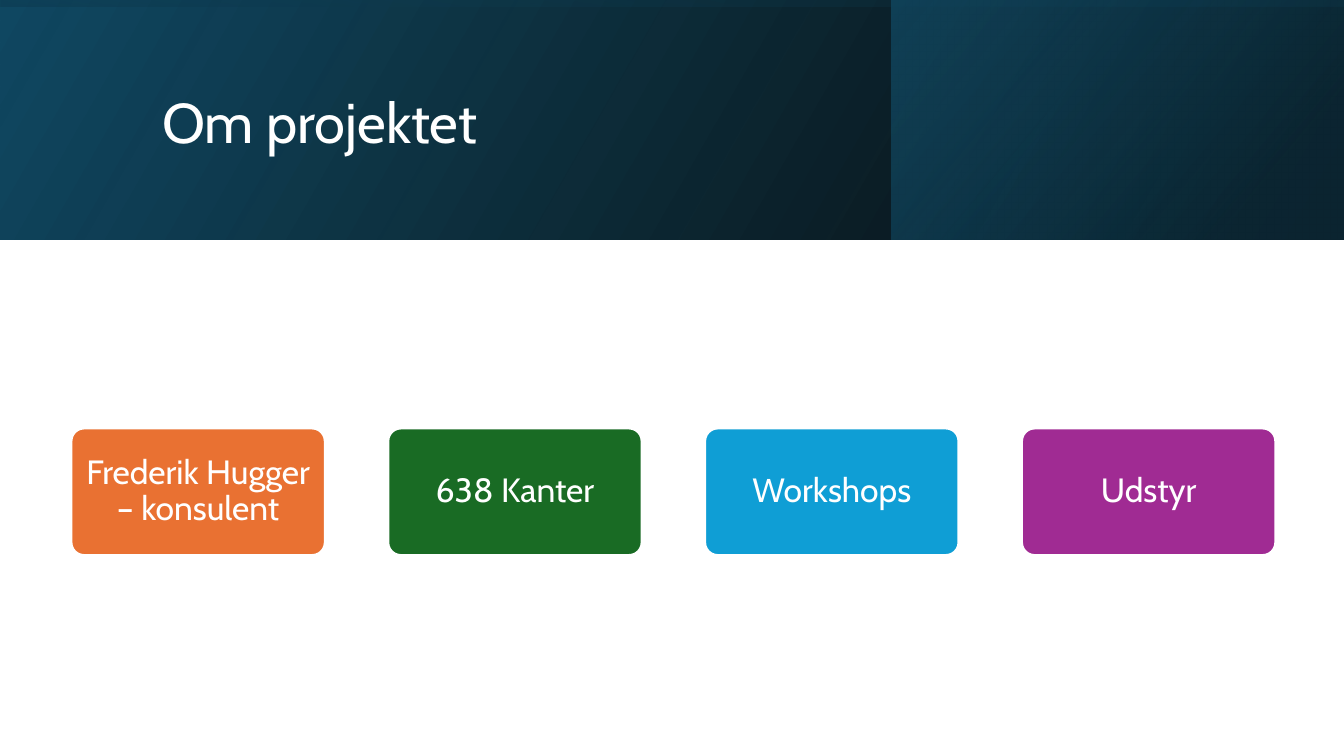
from dataclasses import dataclass

from lxml.etree import SubElement
from pptx import Presentation
from pptx.dml.color import RGBColor
from pptx.enum.shapes import MSO_SHAPE
from pptx.enum.text import MSO_ANCHOR, PP_ALIGN
from pptx.oxml.ns import qn
from pptx.util import Pt


@dataclass(frozen=True)
class Theme:
    font: str = "Cabin"
    title_size: int = 40
    card_size: int = 24
    white: str = "FFFFFF"
    black: str = "000000"
    navy: str = "104862"
    deep: str = "0B3041"
    teal: str = "156082"
    cards: tuple = ("E97132", "196B24", "0F9ED5", "A02B93")


THEME = Theme()
SLIDE_W, SLIDE_H = 960, 540
TOPICS = ("Frederik Hugger – konsulent", "638 Kanter", "Workshops", "Udstyr")


def apply(obj, formats):
    for name, value in formats.items():
        setattr(obj, name, value)


def write_text(tf, text, size, align, frame):
    apply(tf, {"word_wrap": True, "vertical_anchor": MSO_ANCHOR.MIDDLE, **frame})
    p = tf.paragraphs[0]
    apply(p, {"alignment": align, "line_spacing": 0.9})
    r = p.add_run()
    r.text = text
    apply(r.font, {"name": THEME.font, "size": Pt(size)})
    r.font.color.rgb = RGBColor.from_string(THEME.white)


def add_gradient_panel(s, box, stops, angle, rotation=0):
    """Mirrored rectangle; stops are (position %, colour, opacity %)."""
    sp = s.shapes.add_shape(MSO_SHAPE.RECTANGLE, *map(Pt, box))
    sp.shadow.inherit = False
    sp.rotation = rotation
    sp.line.fill.background()
    sp.fill.gradient()
    sp.fill.gradient_angle = 360 - angle
    for stop, (position, colour, opacity) in zip(sp.fill.gradient_stops, stops):
        stop.position = position / 100
        stop.color.rgb = RGBColor.from_string(colour)
    props = sp.element.spPr
    props.find(qn("a:xfrm")).set("flipH", "1")
    for colour, stop in zip(props.iter(qn("a:srgbClr")), stops):
        SubElement(colour, qn("a:alpha"), val=str(stop[2] * 1000))


def add_header(s, box, title):
    x, y, w, h = box
    # Base band, right-hand panel and a shade turned a quarter left
    add_gradient_panel(s, box, [(0, THEME.black, 96), (100, THEME.navy, 100)], 330)
    side = 323
    add_gradient_panel(s, (x + w - side, y, side, h),
                       [(19, THEME.deep, 68), (100, THEME.teal, 48)], 320)
    add_gradient_panel(s, (x + (w - h) / 2, y + (h - w) / 2, h, w),
                       [(23, THEME.navy, 16), (99, THEME.black, 45)], 350, 270)

    # Title, brought in front of the band
    sp = s.shapes.title
    apply(sp, {"left": Pt(x + 108.7), "top": Pt(y + 27.4),
               "width": Pt(765.4), "height": Pt(123.8)})
    write_text(sp.text_frame, title, THEME.title_size, PP_ALIGN.LEFT, {})
    s.shapes.element.append(sp.element)


def add_cards(s, box, topics):
    x, y, w, h = box
    n = len(topics)
    card_w = w / (n + (n - 1) / 4)  # gaps are a quarter of a card
    side, edge = Pt(3.6), Pt(2.4)
    insets = {"margin_left": side, "margin_right": side,
              "margin_top": edge, "margin_bottom": edge}
    for i, (topic, colour) in enumerate(zip(topics, THEME.cards)):
        sp = s.shapes.add_shape(MSO_SHAPE.ROUNDED_RECTANGLE, Pt(x + i * card_w * 1.25),
                                Pt(y), Pt(card_w), Pt(h))
        sp.shadow.inherit = False
        sp.adjustments[0] = 0.1
        sp.fill.solid()
        sp.fill.fore_color.rgb = RGBColor.from_string(colour)
        sp.line.color.rgb = RGBColor.from_string(THEME.white)
        sp.line.width = Pt(1.5)
        write_text(sp.text_frame, topic, THEME.card_size, PP_ALIGN.CENTER, insets)


def main():
    prs = Presentation()
    apply(prs, {"slide_width": Pt(SLIDE_W), "slide_height": Pt(SLIDE_H)})
    s = prs.slides.add_slide(prs.slide_layouts[5])
    add_header(s, (0, 0, SLIDE_W, 171), "Om projektet")
    add_cards(s, (51, 306, 860, 90.5), TOPICS)
    prs.save("out.pptx")


if __name__ == "__main__":
    main()
